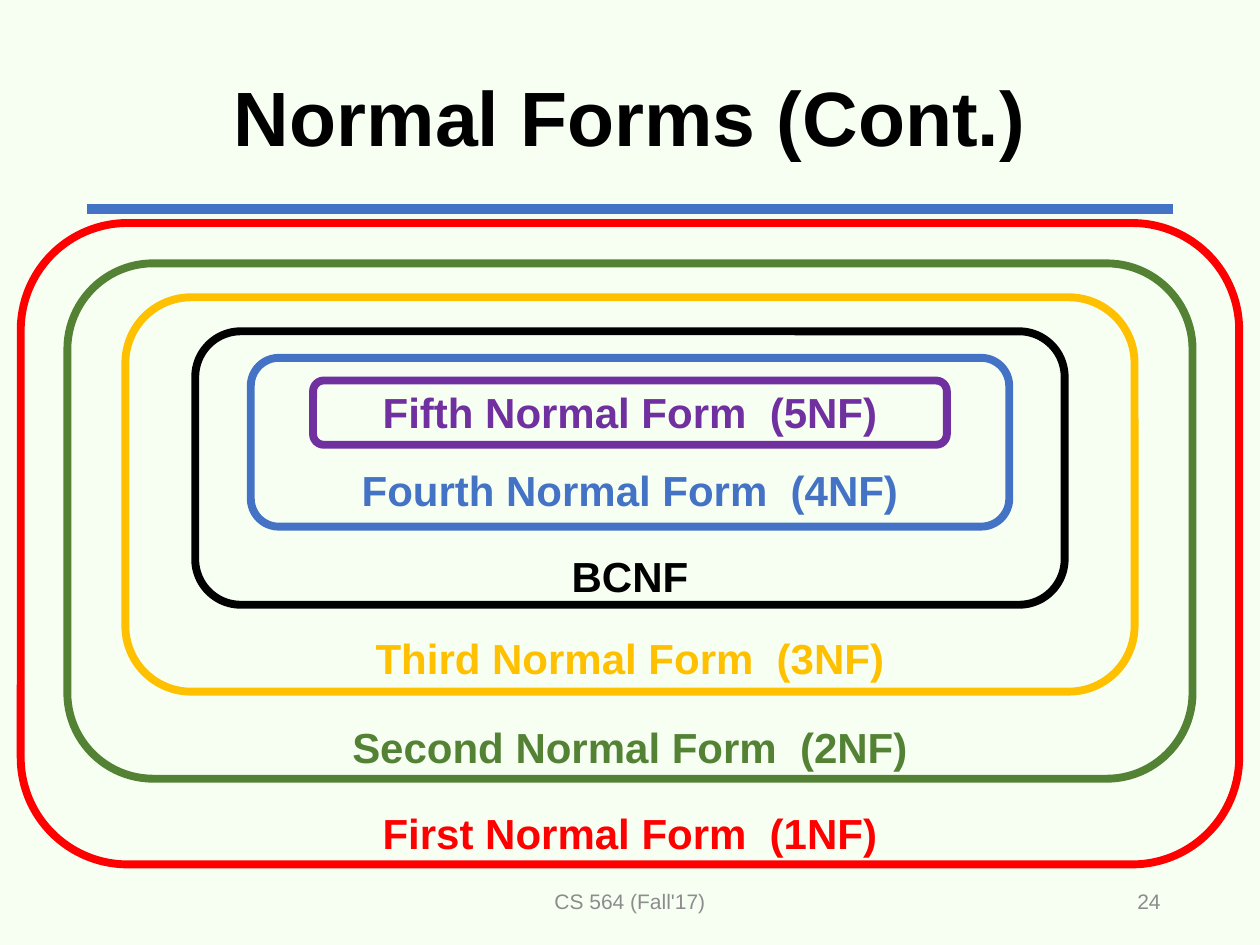
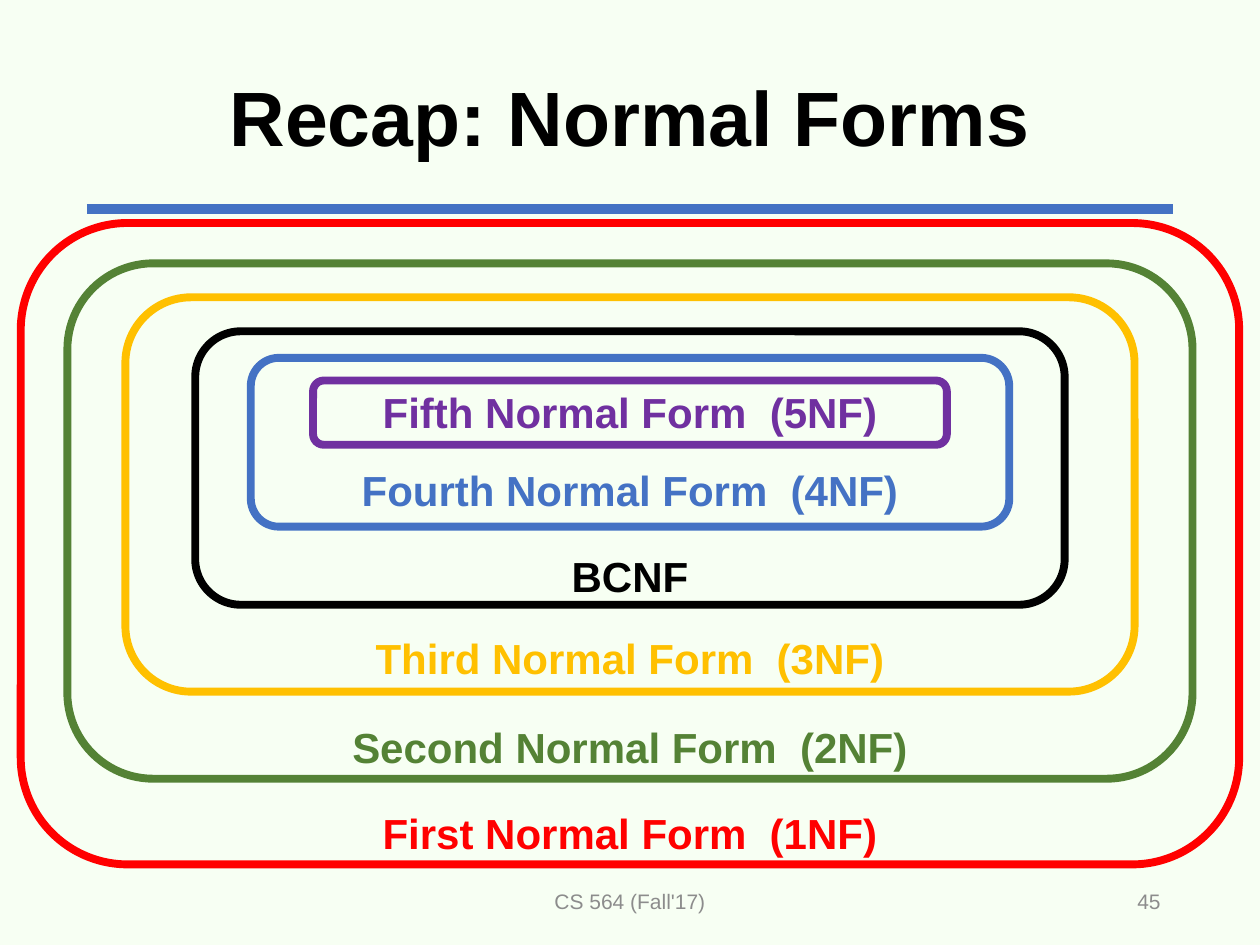
"""Build two slides that show the normal forms as nested rings."""
from dataclasses import dataclass

from lxml import etree
from pptx import Presentation
from pptx.dml.color import RGBColor
from pptx.enum.shapes import MSO_CONNECTOR, MSO_SHAPE
from pptx.enum.text import MSO_ANCHOR, PP_ALIGN
from pptx.oxml.ns import qn
from pptx.util import Inches, Pt

CENTER, RIGHT = PP_ALIGN.CENTER, PP_ALIGN.RIGHT
TOP, MIDDLE = MSO_ANCHOR.TOP, MSO_ANCHOR.MIDDLE
ROUNDED = MSO_SHAPE.ROUNDED_RECTANGLE
STRAIGHT = MSO_CONNECTOR.STRAIGHT

SLIDES = [("Normal Forms (Cont.)", "24"), ("Recap: Normal Forms", "45")]
COURSE = "CS 564 (Fall'17)"

# label, colour name, ring width, ring top, ring height, label top
RINGS = [
    ("First Normal Form  (1NF)", "red", 9.67, 1.77, 5.09, 6.36),
    ("Second Normal Form  (2NF)", "green", 8.93, 2.09, 4.09, 5.68),
    ("Third Normal Form  (3NF)", "gold", 8.01, 2.36, 3.13, 4.97),
    ("BCNF", "black", 6.9, 2.63, 2.17, 4.32),
    ("Fourth Normal Form  (4NF)", "blue", 6.02, 2.84, 1.34, 3.64),
    ("Fifth Normal Form  (5NF)", "purple", 5.03, 3.02, 0.51, 3.02),
]


@dataclass(frozen=True)
class Theme:
    font: str = "Arial"
    background: str = "F7FFF3"
    black: str = "000000"
    grey: str = "8C8C8C"
    red: str = "FF0000"
    green: str = "548235"
    gold: str = "FFC000"
    blue: str = "4472C4"
    purple: str = "7030A0"
    title_size: int = 44
    label_size: int = 24
    footer_size: int = 12
    rule_weight: float = 6
    ring_weight: float = 4.5


THEME = Theme()
WIDTH, HEIGHT = 10, 7.5
MARGIN = 0.69
RULE_Y = 1.66
TITLE_TOP, TITLE_HEIGHT = 0.24, 1.45
LABEL_WIDTH, LABEL_HEIGHT = 6.16, 0.51
FOOTER_TOP, FOOTER_HEIGHT = 6.95, 0.4
COURSE_WIDTH, NUMBER_WIDTH = 3.38, 2.25


def centred(width):
    return (WIDTH - width) / 2


def add_text(page, text, frame, size, color, bold=False, align=CENTER, anchor=MIDDLE, spacing=None):
    box = page.shapes.add_textbox(*map(Inches, frame))
    box.text_frame.word_wrap = True
    box.text_frame.vertical_anchor = anchor
    para = box.text_frame.paragraphs[0]
    para.alignment = align
    para.line_spacing = spacing
    span = para.add_run()
    span.text = text
    span.font.name = THEME.font
    span.font.size = Pt(size)
    span.font.bold = bold
    span.font.color.rgb = RGBColor.from_string(color)


def add_frame(page, title, number):
    page.background.fill.solid()
    page.background.fill.fore_color.rgb = RGBColor.from_string(THEME.background)
    right = WIDTH - MARGIN
    ends = (MARGIN, RULE_Y, right, RULE_Y)
    rule = page.shapes.add_connector(STRAIGHT, *map(Inches, ends))
    rule.line.color.rgb = RGBColor.from_string(THEME.blue)
    rule.line.width = Pt(THEME.rule_weight)
    etree.SubElement(rule._element.spPr, qn("a:effectLst"))
    add_text(page, title, (MARGIN, TITLE_TOP, right - MARGIN, TITLE_HEIGHT),
             THEME.title_size, THEME.black, bold=True, spacing=0.9)
    add_text(page, COURSE, (centred(COURSE_WIDTH), FOOTER_TOP, COURSE_WIDTH, FOOTER_HEIGHT),
             THEME.footer_size, THEME.grey)
    add_text(page, number, (right - NUMBER_WIDTH, FOOTER_TOP, NUMBER_WIDTH, FOOTER_HEIGHT),
             THEME.footer_size, THEME.grey, align=RIGHT)


def add_ring(page, label, color_name, width, top, height, label_top):
    color = getattr(THEME, color_name)
    frame = (centred(width), top, width, height)
    ring = page.shapes.add_shape(ROUNDED, *map(Inches, frame))
    ring.shadow.inherit = False
    ring.fill.background()
    ring.line.color.rgb = RGBColor.from_string(color)
    ring.line.width = Pt(THEME.ring_weight)
    add_text(page, label, (centred(LABEL_WIDTH), label_top, LABEL_WIDTH, LABEL_HEIGHT),
             THEME.label_size, color, bold=True, anchor=TOP)


def main():
    deck = Presentation()
    deck.slide_width, deck.slide_height = Inches(WIDTH), Inches(HEIGHT)
    blank = deck.slide_layouts[6]
    for title, number in SLIDES:
        page = deck.slides.add_slide(blank)
        add_frame(page, title, number)
        for ring in RINGS:
            add_ring(page, *ring)
    deck.save("out.pptx")


if __name__ == "__main__":
    main()
